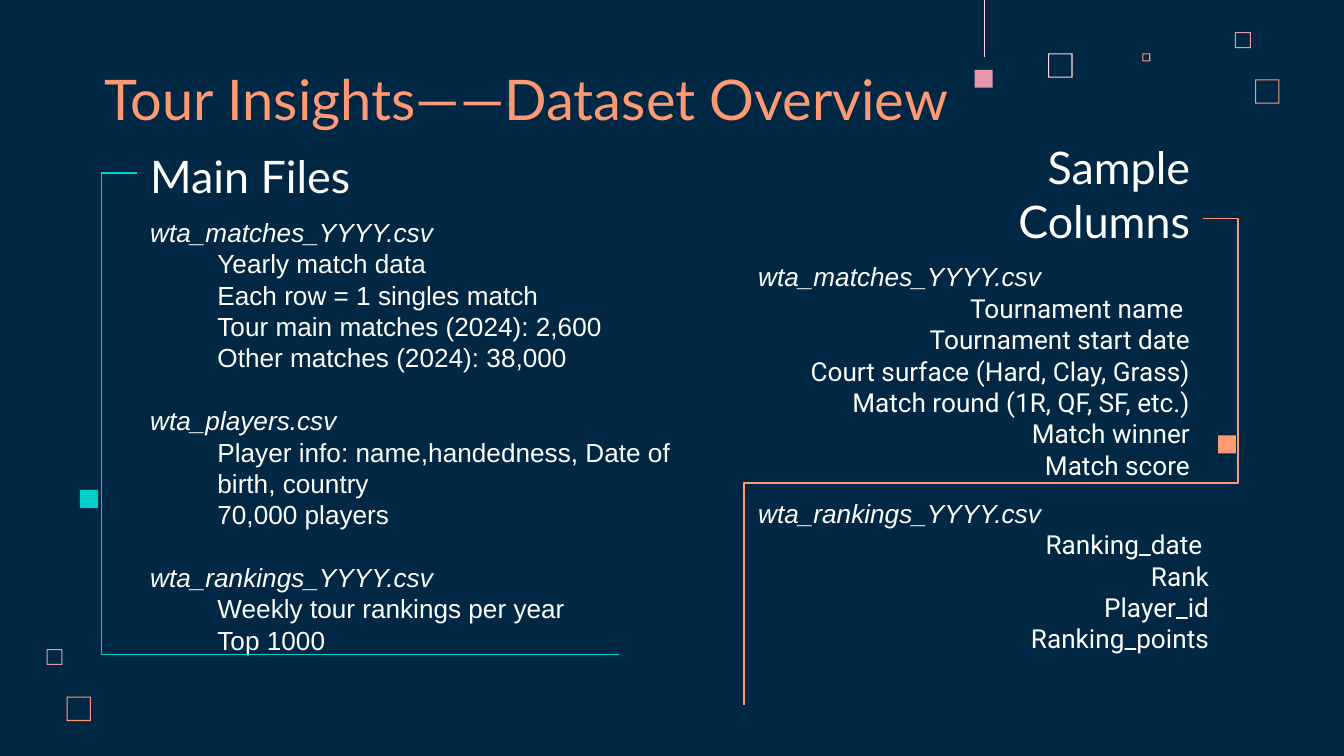
import pptx
import pptx.util
import pptx.dml.color
import pptx.enum.shapes
import pptx.enum.text
import pptx.oxml.ns
import lxml.etree

Cm = pptx.util.Cm
Pt = pptx.util.Pt
RGB = pptx.dml.color.RGBColor
Kind = pptx.enum.shapes.MSO_SHAPE
Link = pptx.enum.shapes.MSO_CONNECTOR
Align = pptx.enum.text.PP_ALIGN
Hold = pptx.enum.text.MSO_ANCHOR
qn = pptx.oxml.ns.qn

NAVY = RGB(0x00, 0x28, 0x45)
WHITE = RGB(0xFF, 0xFF, 0xFF)
CORAL = RGB(0xFF, 0x99, 0x73)
ROSE = RGB(0xE8, 0x98, 0xAC)
BLUSH = RGB(0xFF, 0xD6, 0xE1)
TEAL = RGB(0x00, 0xCF, 0xCC)

PITCH = 16.8
DOT = 0.34
RIM = 0.02

FRAMES = [
    (19.81, 1.01, 0.46, BLUSH),
    (23.34, 0.61, 0.3, ROSE),
    (21.59, 1.01, 0.15, CORAL),
    (23.72, 1.5, 0.46, CORAL),
    (0.88, 12.27, 0.3, ROSE),
    (1.26, 13.17, 0.46, CORAL),
]

FILES = [
    ("wta_matches_YYYY.csv", [
        "Yearly match data",
        "Each row = 1 singles match",
        "Tour main matches (2024): 2,600",
        "Other matches (2024): 38,000",
    ]),
    ("wta_players.csv", [
        "Player info: name,handedness, Date of birth, country",
        "70,000 players",
    ]),
    ("wta_rankings_YYYY.csv", [
        "Weekly tour rankings per year",
        "Top 1000",
    ]),
]
MATCH = [("wta_matches_YYYY.csv", [
    "Tournament name ",
    "Tournament start date",
    "Court surface (Hard, Clay, Grass)",
    "Match round (1R, QF, SF, etc.)",
    "Match winner",
    "Match score",
])]
RANKS = [("wta_rankings_YYYY.csv", [
    "Ranking_date ",
    "Rank",
    "Player_id",
    "Ranking_points",
])]


def add_run(para, text, font, size, color, slant=False):
    run = para.add_run()
    run.text = text
    run.font.name = font
    run.font.size = Pt(size)
    run.font.color.rgb = color
    run.font.italic = slant


def set_frame(shape, hold):
    frame = shape.text_frame
    frame.word_wrap = True
    frame.auto_size = pptx.enum.text.MSO_AUTO_SIZE.NONE
    frame.vertical_anchor = hold
    frame.margin_left = frame.margin_right = Cm(0.25)
    frame.margin_top = frame.margin_bottom = Cm(0.25)
    return frame


def add_box(slide, box, hold):
    return set_frame(slide.shapes.add_textbox(*map(Cm, box)), hold)


def add_title(slide, box, text):
    title = slide.shapes.title
    title.left, title.top, title.width, title.height = map(Cm, box)
    para = set_frame(title, Hold.BOTTOM).paragraphs[0]
    para.alignment = Align.LEFT
    add_run(para, text, "Lato", 30, CORAL)


def add_head(slide, box, text, align):
    para = add_box(slide, box, Hold.BOTTOM).paragraphs[0]
    para.alignment = align
    add_run(para, text, "Lato", 24, WHITE)


def add_list(slide, box, groups, font, align, inset=0):
    frame = add_box(slide, box, Hold.TOP)
    for pos, (name, items) in enumerate(groups):
        para = frame.add_paragraph() if pos else frame.paragraphs[0]
        para.line_spacing = Pt(PITCH)
        if pos:
            para.space_before = Pt(PITCH)
        add_run(para, name, "Arial", 14, WHITE, True)
        for item in items:
            para = frame.add_paragraph()
            para.line_spacing = Pt(PITCH)
            para.alignment = align
            if inset:
                para._p.get_or_add_pPr().set("marL", str(Cm(inset)))
            add_run(para, item, font, 14, WHITE)


def add_block(slide, kind, box, color):
    block = slide.shapes.add_shape(kind, *map(Cm, box))
    block.shadow.inherit = False
    block.fill.solid()
    block.fill.fore_color.rgb = color
    block.line.fill.background()
    return block


def add_dot(slide, left, top, color):
    add_block(slide, Kind.RECTANGLE, (left, top, DOT, DOT), color)


def add_line(slide, kind, ends, color, width):
    line = slide.shapes.add_connector(kind, *map(Cm, ends))
    line.line.color.rgb = color
    line.line.width = Pt(width)
    lxml.etree.SubElement(line._element.spPr, qn("a:effectLst"))
    return line


def add_bend(slide, ends, color, bends):
    line = add_line(slide, Link.ELBOW, ends, color, 0.75)
    geom = line._element.spPr.find(qn("a:prstGeom"))
    geom.set("prst", f"bentConnector{len(bends) + 2}")
    guides = geom.find(qn("a:avLst"))
    if guides is None:
        guides = lxml.etree.SubElement(geom, qn("a:avLst"))
    for num, bend in enumerate(bends, 1):
        guide = lxml.etree.SubElement(guides, qn("a:gd"))
        guide.set("name", f"adj{num}")
        guide.set("fmla", f"val {round(bend * 1000)}")


def add_decor(slide):
    for left, top, side, color in FRAMES:
        frame = add_block(slide, Kind.FRAME, (left, top, side, side), color)
        frame.adjustments[0] = RIM / side
    add_dot(slide, 18.42, 1.32, ROSE)
    add_line(slide, Link.STRAIGHT, (18.6, 0, 18.6, 1.08), BLUSH, 0.5)


def add_files(slide, left, top):
    add_head(slide, (left, top, 10.34, 1.6), "Main Files", Align.LEFT)
    add_list(slide, (left, top + 1.37, 11.46, 9.65), FILES, "Arial",
             Align.LEFT, 1.27)
    start = top + 0.8
    add_bend(slide, (left, start, left + 9.11, start + 9.1), TEAL, [-7.3])
    add_dot(slide, left - 1.08, top + 6.79, TEAL)


def add_cols(slide, left, top):
    right = left + 8.66
    add_head(slide, (right - 5.97, top, 5.97, 1.6), "Sample Columns",
             Align.RIGHT)
    add_list(slide, (left, top + 1.35, 8.66, 4.11), MATCH, "Roboto",
             Align.RIGHT)
    add_list(slide, (left, top + 5.82, 9.02, 4.11), RANKS, "Roboto",
             Align.RIGHT)
    start = top + 0.8
    add_bend(slide, (right, start, left - 0.02, start + 9.2), CORAL,
             [-7.6, 54.4])
    add_dot(slide, right + 0.28, top + 4.9, CORAL)


def main():
    deck = pptx.Presentation()
    deck.slide_width = Cm(25.4)
    deck.slide_height = Cm(14.29)
    slide = deck.slides.add_slide(deck.slide_layouts[5])
    slide.background.fill.solid()
    slide.background.fill.fore_color.rgb = NAVY
    add_decor(slide)
    add_title(slide, (1.73, 1.14, 17.09, 1.6),
              "Tour Insights——Dataset Overview")
    add_files(slide, 2.59, 2.47)
    add_cols(slide, 14.08, 3.33)
    deck.save("out.pptx")


if __name__ == "__main__":
    main()
